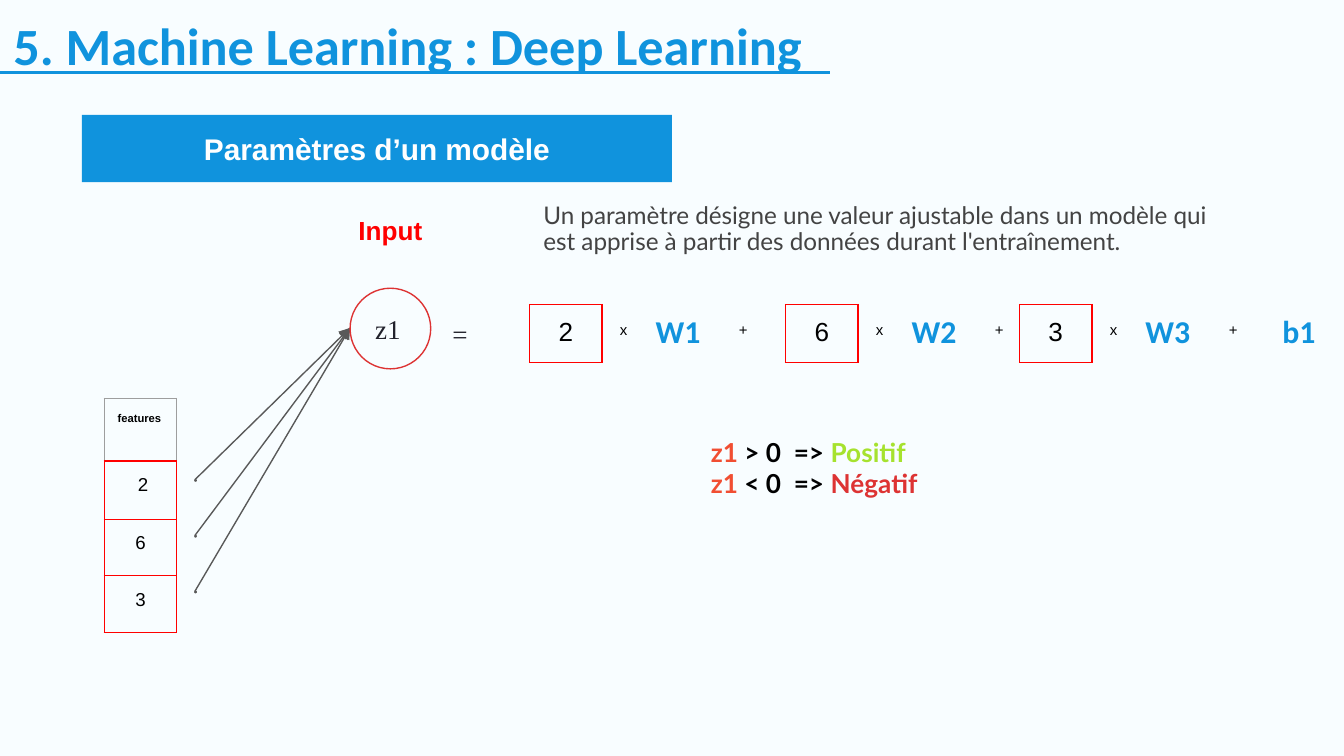
import collections

import lxml.etree
import pptx
import pptx.dml.color
import pptx.enum.shapes
import pptx.enum.text
import pptx.oxml.ns
import pptx.util

COLUMNS, ROWS = 100, 56.25
BLUE, RED, CRIMSON, GREY, INK = "1093DD", "FF0000", "DD3333", "595959", "21212B"
SHAPES = pptx.enum.shapes.MSO_SHAPE
ALIGN = pptx.enum.text.PP_ALIGN
ANCHOR = pptx.enum.text.MSO_ANCHOR

Box = collections.namedtuple("Box", "left top width height")


def grid(value):
    """Turn grid columns or rows into a length."""
    return pptx.util.Inches(value * 10 / COLUMNS)


def inside(box, left, top, width, height):
    """Return a box placed relative to the corner of another."""
    return Box(box.left + left, box.top + top, width, height)


def rgb(color):
    """Turn a hex string into a colour."""
    return pptx.dml.color.RGBColor.from_string(color)


def child(parent, tag, **attributes):
    """Append a drawing element to an XML parent."""
    element = lxml.etree.SubElement(parent, pptx.oxml.ns.qn(tag))
    for name, value in attributes.items():
        element.set(name, value)
    return element


def write(paragraph, text, size=14, font="Arial", color="000000", bold=False,
          align=ALIGN.LEFT, spacing=None):
    """Add a formatted run to a paragraph."""
    run = paragraph.add_run()
    run.text = text
    run.font.size = pptx.util.Pt(size)
    run.font.name = font
    run.font.bold = bold
    run.font.color.rgb = rgb(color)
    paragraph.alignment = align
    if spacing:
        paragraph.line_spacing = spacing


def prepare(frame, anchor=ANCHOR.TOP, left=1, vertical=1):
    """Set wrapping, anchor and insets of a text frame and return its first paragraph."""
    frame.word_wrap = True
    frame.auto_size = pptx.enum.text.MSO_AUTO_SIZE.NONE
    frame.vertical_anchor = anchor
    frame.margin_left, frame.margin_right = grid(left), grid(1)
    frame.margin_top = frame.margin_bottom = grid(vertical)
    return frame.paragraphs[0]


def add_label(slide, box, text, left=1, **style):
    """Place a text box holding one paragraph."""
    shape = slide.shapes.add_textbox(*map(grid, box))
    write(prepare(shape.text_frame, left=left), text, **style)


def add_shape(slide, box, kind, fill=None, line=None):
    """Place a preset shape with plain fill and outline."""
    shape = slide.shapes.add_shape(kind, *map(grid, box))
    shape.shadow.inherit = False
    if fill:
        shape.fill.solid()
        shape.fill.fore_color.rgb = rgb(fill)
    else:
        shape.fill.background()
    if line:
        shape.line.color.rgb = rgb(line)
        shape.line.width = pptx.util.Pt(0.75)
    else:
        shape.line.fill.background()
    return shape


def add_line(slide, start, end, color, width, arrow=False):
    """Draw a straight line between two grid points."""
    line = slide.shapes.add_connector(
        pptx.enum.shapes.MSO_CONNECTOR.STRAIGHT, *map(grid, start + end))
    line.line.color.rgb = rgb(color)
    line.line.width = pptx.util.Pt(width)
    if arrow:
        child(line.line._get_or_add_ln(), "a:tailEnd", type="triangle")
    child(line._element.spPr, "a:effectLst")


def add_borders(cell, colors):
    """Outline a cell with left, right, top and bottom colours."""
    properties = cell._tc.get_or_add_tcPr()
    for side, color in zip("LRTB", colors):
        border = child(properties, f"a:ln{side}", w=str(pptx.util.Pt(0.75)))
        child(child(border, "a:solidFill"), "a:srgbClr", val=color)
        child(border, "a:prstDash", val="solid")


def add_column(slide, box, heights):
    """Place a one-column table with red outlines and return its cells."""
    frame = slide.shapes.add_table(len(heights), 1, *map(grid, box))
    table = frame.table
    table.first_row = table.horz_banding = False
    table.columns[0].width = grid(box.width)
    for row, height in zip(table.rows, heights):
        row.height = grid(height)
    cells = [row.cells[0] for row in table.rows]
    for cell in cells:
        cell.margin_left = cell.margin_right = grid(1)
        cell.margin_top = cell.margin_bottom = grid(1)
    return cells


def fill_cell(cell, text, borders=(RED,) * 4, **style):
    """Give a cell its outline and text."""
    add_borders(cell, borders)
    cell.fill.background()
    write(cell.text_frame.paragraphs[0], text, **style)


def add_header(slide, box):
    """Fill the title placeholder and underline it."""
    title = slide.shapes.title
    title.left, title.top, title.width, title.height = map(grid, box)
    write(prepare(title.text_frame), "5. Machine Learning : Deep Learning",
          size=28, font="Calibri", color=BLUE, bold=True)
    add_line(slide, (box.left, box.top + 5.4), (box.left + 61.75, box.top + 5.4), BLUE, 1.5)


def add_banner(slide, box):
    """Place the section banner."""
    banner = add_shape(slide, box, SHAPES.RECTANGLE, fill=BLUE)
    write(prepare(banner.text_frame, ANCHOR.MIDDLE, vertical=0.5), "Paramètres d’un modèle",
          size=16, color="FFFFFF", bold=True, align=ALIGN.CENTER)


def add_features(slide, box):
    """Place the table of feature values."""
    head, *values = add_column(slide, box, [4.65, 4.35, 4.2, 4.2])
    fill_cell(head, "features", ["9E9E9E", "9E9E9E", "9E9E9E", RED], size=6, bold=True)
    for cell, value in zip(values, "263"):
        fill_cell(cell, value, size=10, align=ALIGN.CENTER)
    values[0].margin_left = grid(1.4)


def add_neuron(slide, box):
    """Place the neuron and the arrows that feed it."""
    add_label(slide, inside(box, -10.85, -6.5, 27.7, 6.7), "Input",
              color=RED, bold=True, align=ALIGN.CENTER)
    target = (box.left, box.top + 2.95)
    for step in range(3):
        start = (box.left - 11.55, box.top + 14.25 + 4.15 * step)
        add_line(slide, start, target, GREY, 0.75, arrow=True)
        add_shape(slide, Box(*start, 0.1, 0.1), SHAPES.OVAL, fill="EEEEEE", line=GREY)
    neuron = add_shape(slide, box, SHAPES.OVAL, line=CRIMSON)
    style = {"size": 14.5, "font": "Times New Roman", "color": INK}
    write(prepare(neuron.text_frame, ANCHOR.MIDDLE), "z1", **style)
    add_label(slide, inside(box, 5.55, 1.15, 7.8, 4.5), "=", left=2.05, **style)


def add_equation(slide, box):
    """Place the weighted sum of the inputs and the bias."""
    weight = {"size": 17, "font": "Calibri", "color": BLUE, "bold": True, "align": ALIGN.CENTER}
    sign = {"size": 8, "align": ALIGN.CENTER}
    for number, (value, offset) in enumerate(zip("263", (0, 19.05, 36.45)), 1):
        term = inside(box, offset, 0, 5.4, 4.3)
        cell, = add_column(slide, term, [term.height])
        fill_cell(cell, value, align=ALIGN.CENTER)
        add_label(slide, inside(term, 5.45, 0.2, 3.1, 3.4), "x", **sign)
        add_label(slide, inside(term, 8.1, -0.45, 5.9, 4.9), f"W{number}", **weight)
        add_label(slide, inside(term, 14.35, 0.2, 3.1, 3.4), "+", **sign)
    add_label(slide, inside(box, 54.3, -0.45, 5.9, 4.9), "b1", **weight)


def add_decision(slide, box):
    """Place the rule that reads the sign of the neuron."""
    frame = slide.shapes.add_textbox(*map(grid, box)).text_frame
    paragraphs = [prepare(frame), frame.add_paragraph()]
    rules = [(">", "Positif", "A6E22E"), ("<", "Négatif", CRIMSON)]
    for paragraph, (comparison, outcome, color) in zip(paragraphs, rules):
        parts = [("z1 ", "F14E32"), (f"{comparison} 0  => ", "000000"), (outcome, color)]
        for text, part_color in parts:
            write(paragraph, text, font="Lato", color=part_color, bold=True)


def main():
    """Build the slide and save it."""
    presentation = pptx.Presentation()
    presentation.slide_width, presentation.slide_height = grid(COLUMNS), grid(ROWS)
    slide = presentation.slides.add_slide(presentation.slide_layouts.get_by_name("Title Only"))
    slide.background.fill.solid()
    slide.background.fill.fore_color.rgb = rgb("F8FDFF")
    add_header(slide, Box(0, 0, 89.4, 6.7))
    add_banner(slide, Box(6.1, 8.55, 43.9, 5))
    add_label(slide, Box(39.45, 14.15, 51.7, 6),
              "Un paramètre désigne une valeur ajustable dans un modèle qui est apprise "
              "à partir des données durant l'entraînement.",
              size=13, font="Lato", color="434343", spacing=0.9)
    add_neuron(slide, Box(26.05, 21.45, 6, 6))
    add_equation(slide, Box(39.4, 22.65, 60.2, 4.3))
    add_features(slide, Box(7.75, 29.65, 5.4, 17.4))
    add_decision(slide, Box(51.9, 31.45, 17.9, 7.2))
    presentation.save("out.pptx")


if __name__ == "__main__":
    main()
